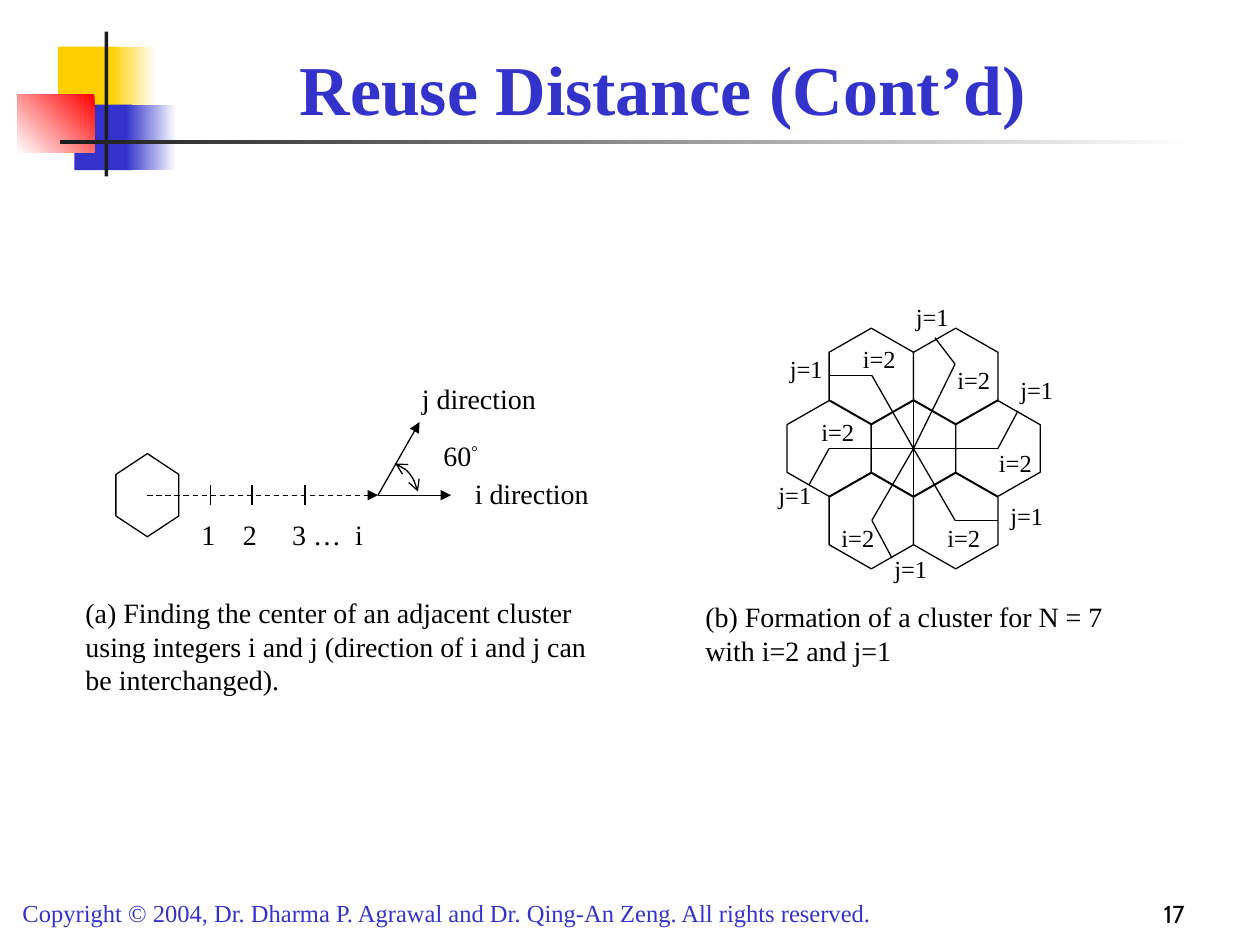
"""Build the "Reuse Distance (Cont'd)" slide with its two hexagon diagrams."""
from pptx import Presentation
from pptx.dml.color import RGBColor
from pptx.enum.dml import MSO_LINE
from pptx.enum.shapes import MSO_CONNECTOR, MSO_SHAPE
from pptx.enum.text import MSO_ANCHOR, MSO_AUTO_SIZE, PP_ALIGN
from pptx.oxml.ns import qn
from pptx.util import Inches, Pt
from lxml.etree import SubElement

rgb = RGBColor.from_string
BLACK, WHITE, BLUE, DARK = "000000", "FFFFFF", "3333CC", "1C1C1C"
SERIF = "Times New Roman"

prs = Presentation()
prs.slide_width, prs.slide_height = Inches(10), Inches(7.5)
s = prs.slides.add_slide(prs.slide_layouts[6])


def add_text(x, y, w, h, text, size=16, color=BLACK, font=SERIF, grow=True, tabs=()):
    sp = s.shapes.add_textbox(Inches(x), Inches(y), Inches(w), Inches(h))
    tf = sp.text_frame
    tf.word_wrap = True
    if grow:
        tf.auto_size = MSO_AUTO_SIZE.SHAPE_TO_FIT_TEXT
    else:
        tf.vertical_anchor = MSO_ANCHOR.BOTTOM
    p = tf.paragraphs[0]
    p.add_run().text = text
    if tabs:
        tab_list = SubElement(p._p.get_or_add_pPr(), qn("a:tabLst"))
        for pos in tabs:
            SubElement(tab_list, qn("a:tab"), pos=str(Inches(pos)), algn="l")
    p.font.size, p.font.name, p.font.color.rgb = Pt(size), font, rgb(color)
    return p


def add_line(x1, y1, x2, y2, arrow=False):
    c = s.shapes.add_connector(MSO_CONNECTOR.STRAIGHT, Inches(x1), Inches(y1), Inches(x2), Inches(y2))
    c.line.color.rgb, c.line.width = rgb(BLACK), Pt(0.75)
    if arrow:
        SubElement(c.line._get_or_add_ln(), qn("a:tailEnd"), type="triangle")
    SubElement(c._element.spPr, qn("a:effectLst"))
    return c


# x, y, width, height, colours, gradient angle
decor = [
    (0.46, 0.37, 0.48, 0.52, ["FFCF01"], 0),
    (0.88, 0.37, 0.36, 0.52, [WHITE, "FFCF01"], 180),
    (0.59, 0.83, 0.46, 0.52, [BLUE], 0),
    (1, 0.83, 0.4, 0.52, [WHITE, BLUE], 180),
    (0.14, 0.75, 0.61, 0.46, ["FF0000", WHITE], 225),
    (0.83, 0.25, 0.03, 1.15, [DARK], 0),
    (0.48, 1.11, 9, 0.03, [WHITE, DARK], 180),
]
for x, y, w, h, colors, angle in decor:
    sp = s.shapes.add_shape(MSO_SHAPE.RECTANGLE, Inches(x), Inches(y), Inches(w), Inches(h))
    sp.shadow.inherit = False
    sp.line.fill.background()
    if len(colors) == 1:
        sp.fill.solid()
        sp.fill.fore_color.rgb = rgb(colors[0])
    else:
        sp.fill.gradient()
        sp.fill.gradient_angle = angle
        for stop, color in zip(sp.fill.gradient_stops, colors):
            stop.color.rgb = rgb(color)

add_text(0.08, 7.08, 7.58, 0.34,
         "Copyright © 2004, Dr. Dharma P. Agrawal and Dr. Qing-An Zeng. All rights reserved.",
         14, BLUE)
p = add_text(1, 0.25, 8.52, 0.83, "Reuse Distance (Cont’d)", 40, BLUE, grow=False)
p.alignment, p.font.bold = PP_ALIGN.CENTER, True
p = add_text(7.42, 6.92, 2.08, 0.5, "17", 14, font="Cabin", grow=False)
p.alignment = PP_ALIGN.RIGHT

cx, cy, dx, dy = 7.25, 3.56, 0.67, 0.575
hexagons = [(1.17, 3.93, 0.66, 0.5, 270, 0.33)]
for row, cols in [(0, (-1, 0, 1)), (-1, (-0.5, 0.5)), (1, (-0.5, 0.5))]:
    hexagons += [(cx + col * dx, cy + row * dy, 0.76, 0.67, 90, 0.285) for col in cols]
for x, y, w, h, angle, adj in hexagons:
    sp = s.shapes.add_shape(MSO_SHAPE.HEXAGON, Inches(x - w / 2), Inches(y - h / 2), Inches(w), Inches(h))
    sp.shadow.inherit = False
    sp.rotation, sp.adjustments[0] = angle, adj
    sp.fill.solid()
    sp.fill.fore_color.rgb = rgb(WHITE)
    sp.line.color.rgb, sp.line.width = rgb(BLACK), Pt(0.75)

add_line(1.17, 3.93, 3, 3.93, arrow=True).line.dash_style = MSO_LINE.DASH
add_line(3, 3.93, 3.33, 3.35, arrow=True)
add_line(3, 3.93, 3.58, 3.93, arrow=True)
for x in (1.67, 2, 2.42):
    add_line(x, 3.85, x, 4.01)

arc = s.shapes.add_shape(MSO_SHAPE.ARC, Inches(2.83), Inches(3.67), Inches(0.5), Inches(0.67))
arc.shadow.inherit = False
arc.fill.background()
arc.line.color.rgb, arc.line.width = rgb(BLACK), Pt(0.75)
for i, degrees in enumerate((280, 336.5)):
    arc.adjustments[i] = degrees * 0.6
for end in ("a:headEnd", "a:tailEnd"):
    SubElement(arc.line._get_or_add_ln(), qn(end), type="arrow")

add_text(1.5, 4.06, 2.67, 0.37, "1\t2\t3 …\ti", tabs=(0.33, 0.72, 1.22))
add_text(3.25, 2.98, 1.42, 0.37, "j direction")
add_text(3.67, 3.73, 1.42, 0.37, "i direction")
r = add_text(3.42, 3.43, 0.58, 0.37, "60")._parent.paragraphs[0].add_run()
r.text = "°"
r._r.get_or_add_rPr().set("baseline", "30000")
add_text(0.58, 4.68, 4.42, 0.9,
         "(a) Finding the center of an adjacent cluster using integers i and j "
         "(direction of i and j can be interchanged).")
add_text(5.5, 4.71, 3.67, 0.64, "(b) Formation of a cluster for N = 7 with i=2 and j=1")

add_line(cx, 3.17, cx, 3.94)
add_line(6.92, cy, 7.58, cy)
spokes = [
    (7.58, 4.13, 7.92, 4.13), (7.92, 3.56, 8.08, 3.26), (7.58, 2.89, 7.42, 2.68),
    (6.92, 2.98, 6.58, 2.98), (6.58, 3.56, 6.42, 3.85), (6.92, 4.13, 7.08, 4.43),
]
for x1, y1, x2, y2 in spokes:
    add_line(cx, cy, x1, y1)
    add_line(x1, y1, x2, y2)

labels = {
    "i=2": [(6.75, 2.68), (7.5, 2.85), (6.42, 3.26), (7.83, 3.51), (7.42, 4.1), (6.58, 4.1)],
    "j=1": [(6.17, 2.76), (7.17, 2.35), (6.08, 3.76), (7, 4.35), (8, 2.93), (7.92, 3.93)],
}
for label, spots in labels.items():
    for x, y in spots:
        add_text(x, y, 0.5, 0.34, label, 14)

prs.save("out.pptx")
